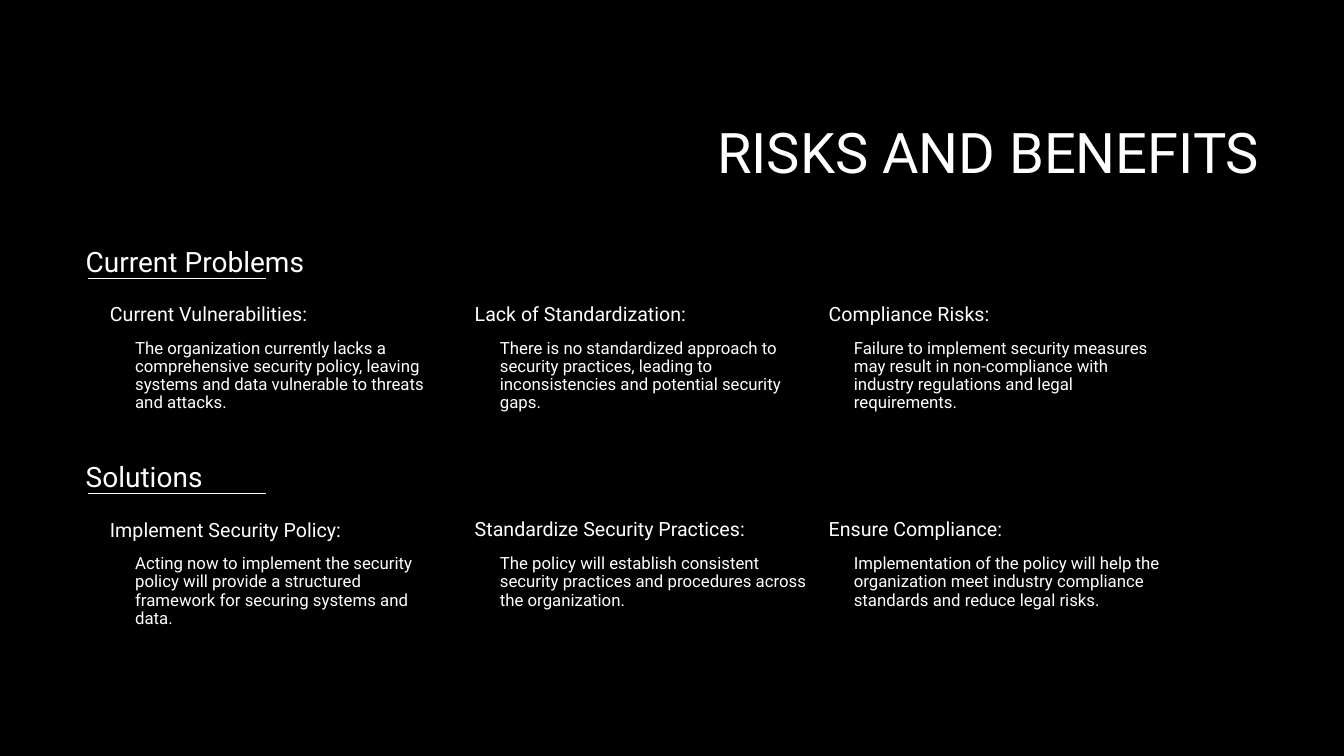
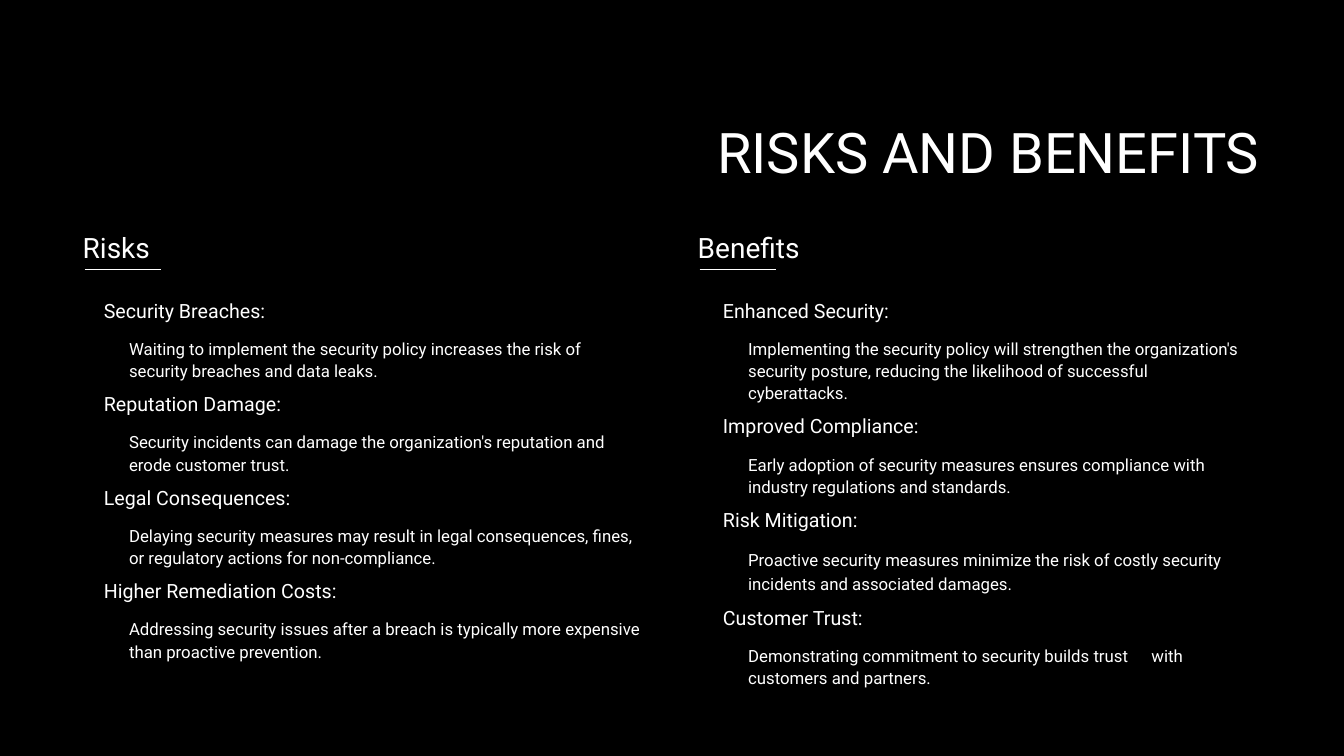
from lxml import etree
from pptx import Presentation
from pptx.dml.color import RGBColor
from pptx.enum.shapes import MSO_CONNECTOR
from pptx.enum.text import MSO_ANCHOR, MSO_AUTO_SIZE, PP_ALIGN
from pptx.oxml.ns import qn
from pptx.util import Inches, Pt

LEFT, RIGHT = PP_ALIGN.LEFT, PP_ALIGN.RIGHT
TOP, MIDDLE = MSO_ANCHOR.TOP, MSO_ANCHOR.MIDDLE
NO_FIT = MSO_AUTO_SIZE.NONE
STRAIGHT = MSO_CONNECTOR.STRAIGHT

BLACK = RGBColor(0, 0, 0)
WHITE = RGBColor(255, 255, 255)
FONT = "Roboto"
TITLE = "RISKS AND BENEFITS"
COMPARISON = 4  # layout: title, then heading and body placeholders in pairs

# Content: heading, then (term, explanation) points
ROWS = [
    ("Current Problems", [
        ("Current Vulnerabilities:",
         "The organization currently lacks a comprehensive security policy, "
         "leaving systems and data vulnerable to threats and attacks."),
        ("Lack of Standardization:",
         "There is no standardized approach to security practices, leading to "
         "inconsistencies and potential security gaps."),
        ("Compliance Risks:",
         "Failure to implement security measures may result in non-compliance "
         "with industry regulations and legal requirements."),
    ]),
    ("Solutions", [
        ("Implement Security Policy:",
         "Acting now to implement the security policy will provide a "
         "structured framework for securing systems and data."),
        ("Standardize Security Practices:",
         "The policy will establish consistent security practices and "
         "procedures across the organization."),
        ("Ensure Compliance:",
         "Implementation of the policy will help the organization meet "
         "industry compliance standards and reduce legal risks."),
    ]),
]
COLUMNS = [
    ("Risks", [
        ("Security Breaches:",
         "Waiting to implement the security policy increases the risk of "
         "security breaches and data leaks."),
        ("Reputation Damage:",
         "Security incidents can damage the organization's reputation and "
         "erode customer trust."),
        ("Legal Consequences:",
         "Delaying security measures may result in legal consequences, fines, "
         "or regulatory actions for non-compliance."),
        ("Higher Remediation Costs:",
         "Addressing security issues after a breach is typically more "
         "expensive than proactive prevention."),
    ]),
    ("Benefits", [
        ("Enhanced Security:",
         "Implementing the security policy will strengthen the organization's "
         "security posture, reducing the likelihood of successful "
         "cyberattacks."),
        ("Improved Compliance:",
         "Early adoption of security measures ensures compliance with "
         "industry regulations and standards."),
        ("Risk Mitigation:",
         "Proactive security measures minimize the risk of costly security "
         "incidents and associated damages."),
        ("Customer Trust:",
         "Demonstrating commitment to security builds trust\twith customers "
         "and partners."),
    ]),
]
LOOSE_TERM = "Risk Mitigation:"  # its explanation is set with wider lines

# Grid, in inches
HEADING_SIZE = (3.78, 0.68)
ROW_TOP, ROW_PITCH = 2.41, 2.14
POINT_LEFTS = (0.74, 4.36, 7.87)
POINT_SIZE = (3.78, 1.25)
COLUMN_TOP, LIST_TOP = 2.27, 2.94
COLUMN_PLACES = [(0.72, 0.68, 5.79), (6.82, 6.82, 5.67)]  # heading, list, width


def place(box, left, top, width, height, anchor=TOP):
    box.left, box.top = Inches(left), Inches(top)
    box.width, box.height = Inches(width), Inches(height)
    frame = box.text_frame
    frame.word_wrap = True
    frame.auto_size = NO_FIT
    frame.vertical_anchor = anchor
    return frame


def write(para, text, size, align=LEFT, spacing=0.9, before=0, margin=0, indent=0):
    para.alignment = align
    para.line_spacing = spacing
    para.space_before, para.space_after = Pt(before), Pt(0)
    props = para._p.get_or_add_pPr()
    props.set("marL", str(Inches(margin)))
    props.set("indent", str(Inches(indent)))
    etree.SubElement(props, qn("a:buNone"))
    span = para.add_run()
    span.text = text
    font = span.font
    font.name, font.size, font.bold = FONT, Pt(size), False
    font.color.rgb = WHITE


def write_points(frame, points, spacing):
    for number, (term, explanation) in enumerate(points):
        para = frame.add_paragraph() if number else frame.paragraphs[0]
        write(para, term, 14, before=10, margin=0.5, indent=-0.25)
        lines = 1.2 if term == LOOSE_TERM else spacing
        write(frame.add_paragraph(), explanation, 12, spacing=lines,
              before=10, margin=0.5)


def add_heading(box, text, left, top):
    write(place(box, left, top, *HEADING_SIZE).paragraphs[0], text, 20)


def add_rule(page, left, top, length):
    start, end, level = Inches(left), Inches(left + length), Inches(top)
    rule = page.shapes.add_connector(STRAIGHT, start, level, end, level)
    rule.line.color.rgb = WHITE
    rule.line.width = Pt(0.75)
    etree.SubElement(rule._element.spPr, qn("a:effectLst"))


def add_page(deck):
    """Return a titled page and its (heading, body) placeholder pairs."""
    page = deck.slides.add_slide(deck.slide_layouts[COMPARISON])
    title = place(page.shapes.title, 3.17, 0.83, 9.42, 1.43, anchor=MIDDLE)
    write(title.paragraphs[0], TITLE, 40, align=RIGHT)
    slots = page.placeholders
    return page, [(slots[1], slots[2]), (slots[3], slots[4])]


def build_rows(deck):
    page, pairs = add_page(deck)
    for row, ((heading, points), (head, body)) in enumerate(zip(ROWS, pairs)):
        top = ROW_TOP + row * ROW_PITCH
        add_heading(head, heading, 0.75, top)
        for column, (left, point) in enumerate(zip(POINT_LEFTS, points)):
            box = page.shapes.add_textbox(0, 0, 0, 0) if column else body
            frame = place(box, left, top + 0.56, *POINT_SIZE)
            write_points(frame, [point], 0.9)
        add_rule(page, 0.87, top + 0.35, 1.77)


def build_columns(deck):
    page, pairs = add_page(deck)
    for (heading, points), (head, body), (left, list_left, width) in zip(
            COLUMNS, pairs, COLUMN_PLACES):
        add_heading(head, heading, left, COLUMN_TOP)
        write_points(place(body, list_left, LIST_TOP, width, 4.18), points, 1.1)
        add_rule(page, left + 0.12, COLUMN_TOP + 0.4, 0.76)


def main():
    deck = Presentation()
    deck.slide_width, deck.slide_height = Inches(13.33), Inches(7.5)
    fill = deck.slide_master.background.fill
    fill.solid()
    fill.fore_color.rgb = BLACK
    build_rows(deck)
    build_columns(deck)
    deck.save("out.pptx")


if __name__ == "__main__":
    main()
